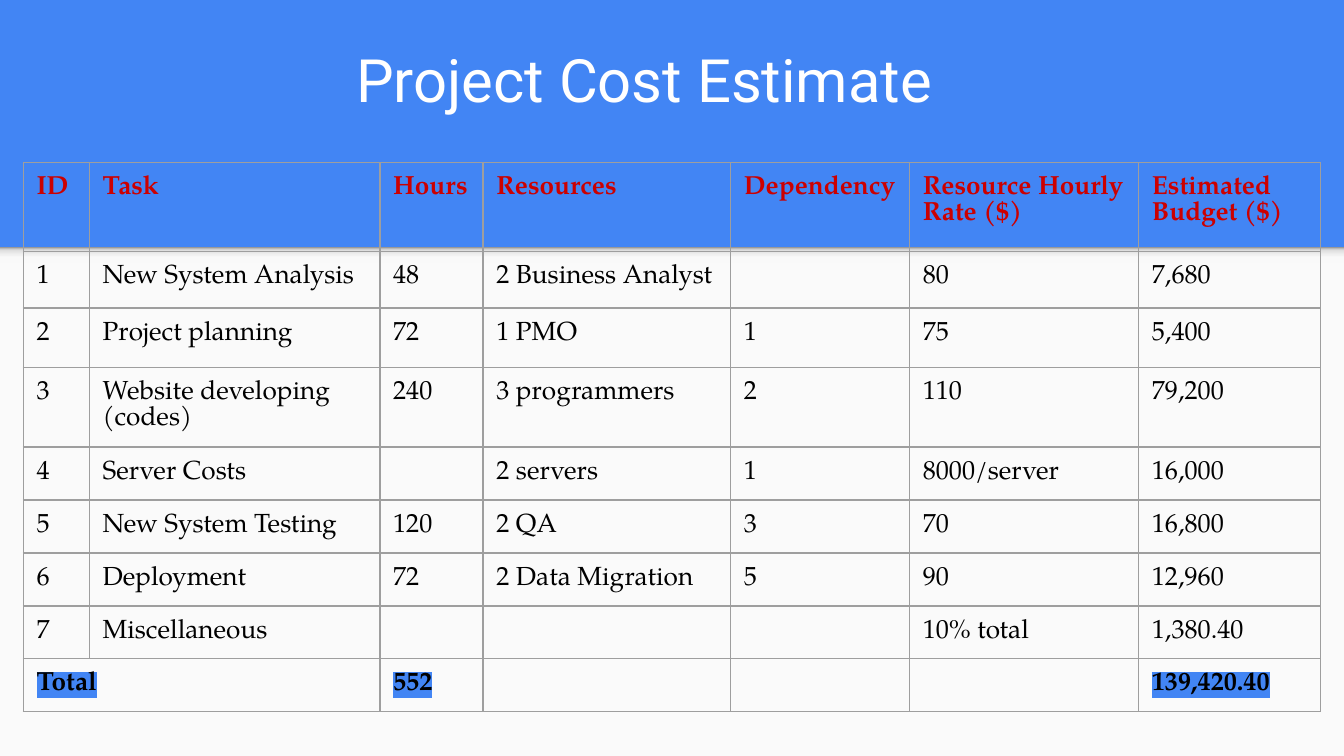
from dataclasses import dataclass

import pptx
import pptx.dml.color
import pptx.enum.shapes
import pptx.enum.text
import pptx.oxml
import pptx.oxml.ns
import pptx.util
from lxml import etree
from pptx.util import Cm

qn = pptx.oxml.ns.qn


@dataclass(frozen=True)
class Theme:
    blue: str = "4285F4"
    paper: str = "FAFAFA"
    white: str = "FFFFFF"
    red: str = "CC0000"
    black: str = "000000"
    grid: str = "9E9E9E"
    title_font: str = "Roboto"
    table_font: str = "TeX Gyre Pagella"
    title_size: int = 32
    table_size: int = 14
    grid_width: float = 0.75
    shadow: tuple = ((0, "F9F9F9"), (36, "F9F9F9"), (80, "DEDEDE"), (100, "999999"))


@dataclass(frozen=True)
class Row:
    height: float
    cells: tuple[str, ...]
    color: str
    bold: bool = False
    highlight: bool = False


THEME = Theme()
WIDTH, HEIGHT, BAND_TOP = 25.4, 14.29, 4.67
COLUMNS = (1.25, 5.49, 1.95, 4.68, 3.38, 4.33, 3.43)
HEADER = ("ID", "Task", "Hours", "Resources", "Dependency",
          "Resource Hourly Rate ($)", "Estimated Budget ($)")
TASKS = (
    (1.07, ("1", "New System Analysis", "48", "2 Business Analyst", "", "80", "7,680")),
    (1.12, ("2", "Project planning", "72", "1 PMO", "1", "75", "5,400")),
    (1.51, ("3", "Website developing (codes)", "240", "3 programmers", "2", "110", "79,200")),
    (1, ("4", "Server Costs", "", "2 servers", "1", "8000/server", "16,000")),
    (1, ("5", "New System Testing", "120", "2 QA", "3", "70", "16,800")),
    (1, ("6", "Deployment", "72", "2 Data Migration", "5", "90", "12,960")),
    (1, ("7", "Miscellaneous", "", "", "", "10% total", "1,380.40")),
)
TOTAL = ("Total", "", "552", "", "", "", "139,420.40")
ROWS = (
    Row(1.68, HEADER, THEME.red, bold=True),
    *(Row(height, cells, THEME.black) for height, cells in TASKS),
    Row(1, TOTAL, THEME.black, bold=True, highlight=True),
)


def rgb(color: str) -> pptx.dml.color.RGBColor:
    return pptx.dml.color.RGBColor.from_string(color)


def add_color(parent, color: str) -> None:
    etree.SubElement(parent, qn("a:srgbClr"), val=color)


def add_band(s, top: float, height: float):
    sp = s.shapes.add_shape(pptx.enum.shapes.MSO_SHAPE.RECTANGLE,
                            Cm(0), Cm(top), Cm(WIDTH), Cm(height))
    sp.shadow.inherit = False
    sp.line.fill.background()
    return sp


def fill_shadow(sp) -> None:
    sp.fill.gradient()
    sp.fill.gradient_angle = 90
    stops = sp._element.spPr.find(qn("a:gradFill")).find(qn("a:gsLst"))
    for stop in list(stops):
        stops.remove(stop)
    for position, color in THEME.shadow:
        add_color(etree.SubElement(stops, qn("a:gs"), pos=str(position * 1000)), color)


def set_title(s, text: str) -> None:
    sp = s.shapes.title
    sp.left, sp.top, sp.width, sp.height = Cm(6.48), Cm(0.81), Cm(13.08), Cm(1.6)
    tf = sp.text_frame
    tf.text = text
    tf.word_wrap = True
    tf.auto_size = pptx.enum.text.MSO_AUTO_SIZE.NONE
    tf.vertical_anchor = pptx.enum.text.MSO_ANCHOR.BOTTOM
    tf.margin_left = tf.margin_right = tf.margin_top = tf.margin_bottom = Cm(0.25)
    p = tf.paragraphs[0]
    p.alignment = pptx.enum.text.PP_ALIGN.LEFT
    font = p.runs[0].font
    font.name, font.size = THEME.title_font, pptx.util.Pt(THEME.title_size)
    font.color.rgb = rgb(THEME.white)


def set_borders(cell) -> None:
    tc_pr = cell._tc.get_or_add_tcPr()
    for i, side in enumerate(("a:lnL", "a:lnR", "a:lnT", "a:lnB")):
        ln = etree.Element(qn(side), w=str(pptx.util.Pt(THEME.grid_width)))
        add_color(etree.SubElement(ln, qn("a:solidFill")), THEME.grid)
        tc_pr.insert(i, ln)


def set_cell(cell, text: str, row: Row) -> None:
    cell.fill.background()
    set_borders(cell)
    p = cell.text_frame.paragraphs[0]
    if not text:
        end = etree.SubElement(p._p, qn("a:endParaRPr"), sz=str(THEME.table_size * 100))
        etree.SubElement(end, qn("a:latin"), typeface=THEME.table_font)
        return
    cell.margin_left = cell.margin_right = cell.margin_top = cell.margin_bottom = Cm(0.25)
    p.text = text
    r = p.runs[0]
    r.font.name, r.font.size = THEME.table_font, pptx.util.Pt(THEME.table_size)
    r.font.bold = row.bold
    r.font.color.rgb = rgb(row.color)
    if row.highlight:
        highlight = etree.Element(qn("a:highlight"))
        add_color(highlight, THEME.blue)
        r._r.rPr.find(qn("a:solidFill")).addnext(highlight)


def add_cost_table(s) -> None:
    table = s.shapes.add_table(len(ROWS), len(COLUMNS), Cm(0.44), Cm(3.07),
                               Cm(sum(COLUMNS)), Cm(sum(row.height for row in ROWS))).table
    table.first_row = table.horz_banding = False
    for column, width in zip(table.columns, COLUMNS):
        column.width = Cm(width)
    for i, row in enumerate(ROWS):
        table.rows[i].height = Cm(row.height)
        for j, text in enumerate(row.cells):
            set_cell(table.cell(i, j), text, row)
    last = len(ROWS) - 1
    table.cell(last, 0).merge(table.cell(last, 1))


def main() -> None:
    prs = pptx.Presentation()
    prs.slide_width, prs.slide_height = Cm(WIDTH), Cm(HEIGHT)
    s = prs.slides.add_slide(prs.slide_layouts[5])
    s.background.fill.solid()
    s.background.fill.fore_color.rgb = rgb(THEME.blue)
    paper = add_band(s, BAND_TOP, HEIGHT - BAND_TOP)
    paper.fill.solid()
    paper.fill.fore_color.rgb = rgb(THEME.paper)
    fill_shadow(add_band(s, BAND_TOP, 0.3))
    set_title(s, "Project Cost Estimate")
    add_cost_table(s)
    prs.save("out.pptx")


if __name__ == "__main__":
    main()
